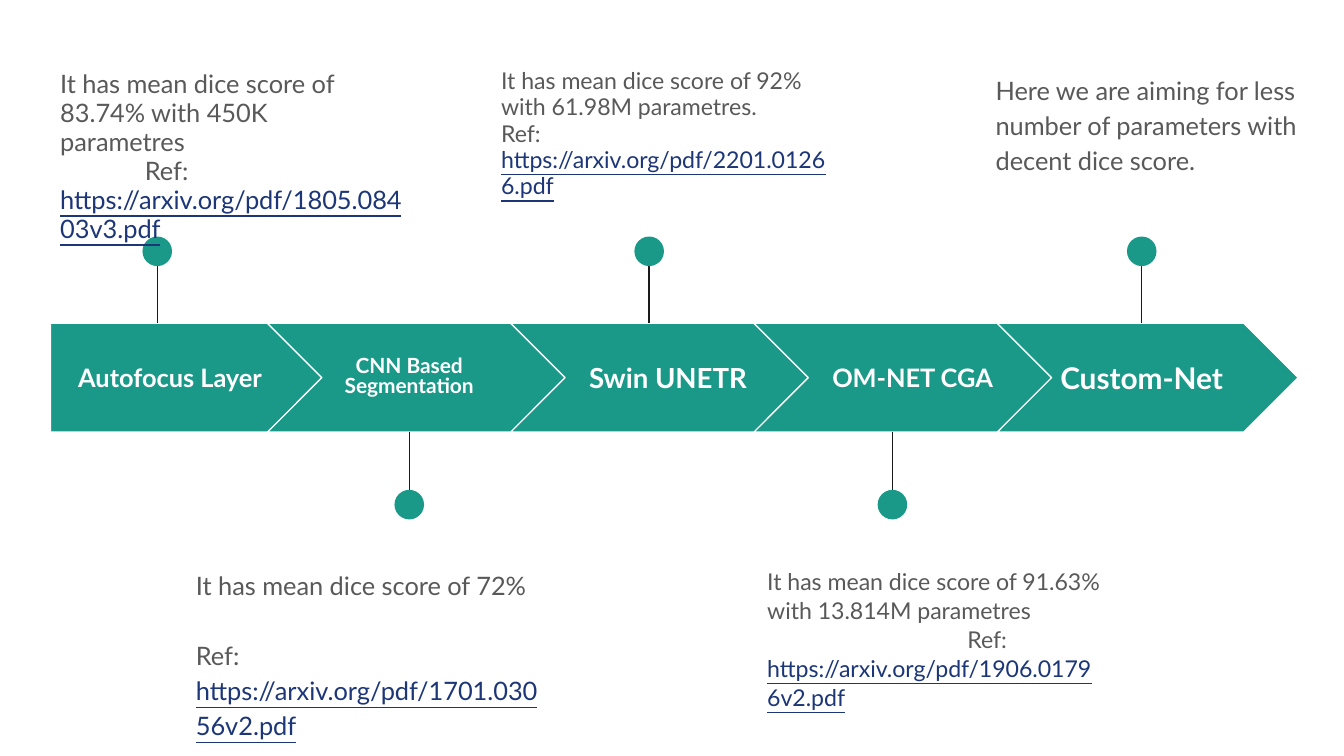
from dataclasses import dataclass
from typing import Any

from lxml import etree
from pptx import Presentation
from pptx.dml.color import RGBColor
from pptx.enum.shapes import MSO_CONNECTOR, MSO_SHAPE
from pptx.enum.text import MSO_ANCHOR, PP_ALIGN
from pptx.oxml.ns import qn
from pptx.util import Inches, Pt

STRAIGHT = MSO_CONNECTOR.STRAIGHT
PENTAGON, CHEVRON, OVAL = MSO_SHAPE.PENTAGON, MSO_SHAPE.CHEVRON, MSO_SHAPE.OVAL
TOP, MIDDLE = MSO_ANCHOR.TOP, MSO_ANCHOR.MIDDLE
LEFT, CENTER = PP_ALIGN.LEFT, PP_ALIGN.CENTER

COLORS = {"teal": "1A9988", "white": "FFFFFF", "ink": "1A1A1A",
          "gray": "595959", "link": "1C3678"}
COLUMNS, ROWS = 100, 56.25
BAND_TOP, BAND_HEIGHT, STEP = 24.05, 8.1, 18.1
DOT, STEM = 2.2, 6.1


def color(name):
    """Return the named palette colour."""
    return RGBColor.from_string(COLORS[name])


def write(para, text, *, size, font, tint="gray", bold=False, underline=False,
          spacing=1.0, align=LEFT, indent=0, before=0):
    """Put formatted text into a paragraph, with a line break at each newline."""
    for index, words in enumerate(text.split("\n")):
        if index:
            para.add_line_break()
        span = para.add_run()
        span.text = words
        span.font.name, span.font.size = font, Pt(size)
        span.font.bold, span.font.underline = bold, underline
        span.font.color.rgb = color(tint)
    para.line_spacing, para.alignment = spacing, align
    para.space_before = Pt(before)
    if indent:
        para._p.get_or_add_pPr().set("indent", str(Inches(indent)))


@dataclass
class Timeline:
    """Hold the slide, its grid and its font, and draw each timeline element."""
    page: Any
    column: float
    row: float
    font: str = "Lato"

    def place(self, left, top, width, height):
        """Turn grid columns and rows into slide lengths."""
        return (int(left * self.column), int(top * self.row),
                int(width * self.column), int(height * self.row))

    def shape(self, kind, cell, outline=None):
        """Draw a teal shape with an optional outline."""
        shape = self.page.shapes.add_shape(kind, *self.place(*cell))
        shape.shadow.inherit = False
        shape.fill.solid()
        shape.fill.fore_color.rgb = color("teal")
        if outline:
            shape.line.color.rgb = color(outline)
            shape.line.width = Pt(0.75)
        else:
            shape.line.fill.background()

    def text(self, cell, lines, anchor=TOP, **style):
        """Draw a text box from pairs of text and extra format."""
        box = self.page.shapes.add_textbox(*self.place(*cell))
        frame = box.text_frame
        frame.word_wrap, frame.vertical_anchor = True, anchor
        frame.margin_left = frame.margin_right = Inches(0.1)
        frame.margin_top = frame.margin_bottom = Inches(0.1)
        for index, (words, extra) in enumerate(lines):
            para = frame.add_paragraph() if index else frame.paragraphs[0]
            write(para, words, font=self.font, **{**style, **extra})

    def arrow(self, index):
        """Draw one step of the arrow band."""
        first = index == 0
        left = 3.75 if first else 1.8 + index * STEP
        cell = (left, BAND_TOP, 20.5 if first else 22.4, BAND_HEIGHT)
        self.shape(PENTAGON if first else CHEVRON, cell, "white")

    def pin(self, center, above):
        """Draw a stem from the band with a dot at its end."""
        near = BAND_TOP if above else BAND_TOP + BAND_HEIGHT
        far = near - STEM if above else near + STEM
        x, start, _, _ = self.place(center, near, 0, 0)
        stem = self.page.shapes.add_connector(
            STRAIGHT, x, start, x, self.place(0, far, 0, 0)[1])
        stem.line.color.rgb = color("ink")
        stem.line.width = Pt(0.75)
        etree.SubElement(stem._element.spPr, qn("a:effectLst"))
        dot_top = 17.6 if above else 36.45
        self.shape(OVAL, (center - DOT / 2, dot_top, DOT, DOT))


def link(address):
    """Return an underlined address line."""
    return address, {"tint": "link", "underline": True}


STEPS = [
    {"label": "Autofocus Layer", "label_left": 4.7, "label_width": 15.9,
     "label_size": 13.6, "pin": 11.7, "note": (3.5, 4.25, 27.7, 16.6),
     "size": 13.6, "spacing": 0.95,
     "lines": [("It has mean dice score of 83.74% with 450K\nparametres", {}),
               ("Ref:", {"indent": 0.63}),
               link("https://arxiv.org/pdf/1805.084\n03v3.pdf")]},
    {"label": "CNN Based Segmentation", "label_left": 23.25, "label_spacing": 0.8,
     "label_size": 11.2, "pin": 30.45, "note": (13.6, 41.1, 27.7, 13.1),
     "size": 13.6, "spacing": 1.15,
     "lines": [("It has mean dice score of 72%", {}), ("Ref:", {"before": 18.8}),
               link("https://arxiv.org/pdf/1701.030\n56v2.pdf")]},
    {"label": "Swin UNETR", "label_left": 42.5,
     "label_size": 14.8, "pin": 48.3, "note": (36.3, 4.1, 26.9, 12.1),
     "size": 12.4, "spacing": 0.95,
     "lines": [("It has mean dice score of 92% with 61.98M parametres.", {}),
               ("Ref:", {}), link("https://arxiv.org/pdf/2201.0126\n6.pdf")]},
    {"label": "OM-NET CGA", "label_left": 60.7,
     "label_size": 13.6, "pin": 66.4, "note": (56.1, 41.1, 26.9, 13.1),
     "size": 12.4, "spacing": 1.05,
     "lines": [("It has mean dice score of 91.63% with 13.814M parametres", {}),
               ("Ref:", {"indent": 1.49}),
               link("https://arxiv.org/pdf/1906.0179\n6v2.pdf")]},
    {"label": "Custom-Net", "label_left": 77.75,
     "label_size": 16, "pin": 84.95, "note": (73.1, 4.25, 24.5, 9.9),
     "size": 13.6, "spacing": 1.15,
     "lines": [("Here we are aiming for less number of parameters with "
                "decent dice score.", {})]},
]


def main():
    """Build the timeline slide and save it."""
    deck = Presentation()
    deck.slide_width = Inches(10)
    deck.slide_height = deck.slide_width * 9 // 16
    page = deck.slides.add_slide(deck.slide_layouts[6])
    timeline = Timeline(page, deck.slide_width / COLUMNS, deck.slide_height / ROWS)
    for index, step in enumerate(STEPS):
        timeline.arrow(index)
        label_cell = (step["label_left"], 25.55, step.get("label_width", 14.4), 5.1)
        timeline.text(label_cell, [(step["label"], {})], MIDDLE, tint="white",
                      size=step["label_size"], bold=True, align=CENTER,
                      spacing=step.get("label_spacing", 1.0))
        timeline.pin(step["pin"], above=index % 2 == 0)
        timeline.text(step["note"], step["lines"], size=step["size"],
                      spacing=step["spacing"])
    deck.save("out.pptx")


if __name__ == "__main__":
    main()
